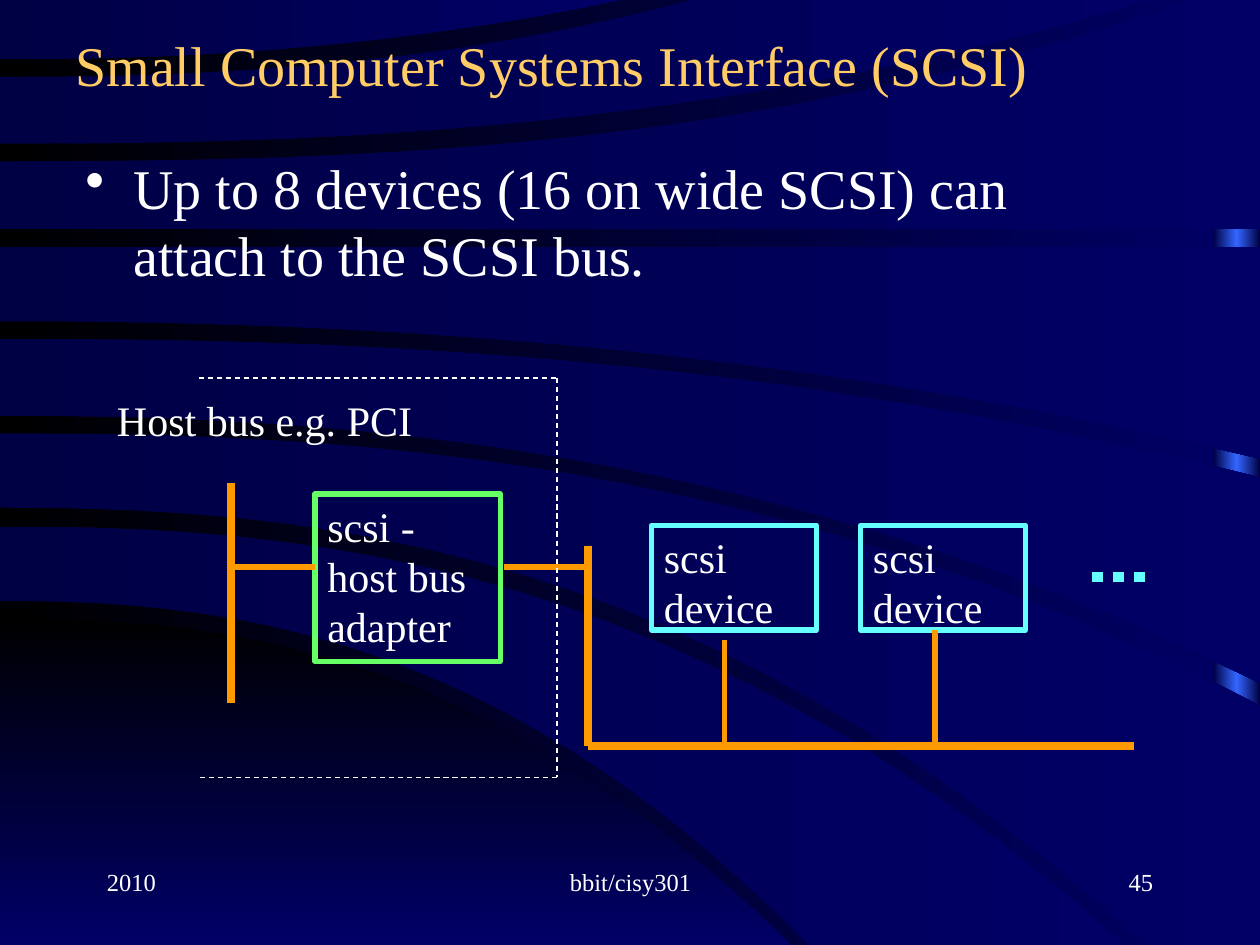
from copy import deepcopy

from lxml.etree import SubElement
from pptx import Presentation
from pptx.dml.color import RGBColor
from pptx.enum.dml import MSO_LINE
from pptx.enum.shapes import MSO_CONNECTOR, MSO_SHAPE
from pptx.enum.text import MSO_ANCHOR, PP_ALIGN
from pptx.oxml.ns import qn
from pptx.util import Inches, Pt

COLOURS = {
    "black": "000000", "navy": "000066", "dark": "000044", "glow": "3366FF",
    "gold": "FFCC66", "white": "FFFFFF", "bus": "FF9900",
    "adapter": "66FF66", "device": "66FFFF",
}
RGB = {name: RGBColor.from_string(value) for name, value in COLOURS.items()}
CURVE_STEPS = 24


def paint_gradient(fill, start, end, angle=0):
    fill.gradient()
    fill.gradient_angle = angle
    for stop, colour, position in zip(fill.gradient_stops, (start, end), (0, 1)):
        stop.color.rgb = RGB[colour]
        stop.position = position


def write(holder, text, size, colour="white", align=PP_ALIGN.LEFT, space_before=0):
    frame = holder.text_frame
    frame.word_wrap = True
    frame.text = text
    for paragraph in frame.paragraphs:
        paragraph.alignment = align
        paragraph.space_before = Pt(space_before)
        paragraph.font.name = "Times New Roman"
        paragraph.font.size = Pt(size)
        paragraph.font.color.rgb = RGB[colour]
    return frame


prs = Presentation()
prs.slide_width, prs.slide_height = Inches(10), Inches(7.5)
slide = prs.slides.add_slide(prs.slide_layouts[6])
shapes = slide.shapes

# Backdrop: glowing right edge, partly covered by curved bands
paint_gradient(slide.background.fill, "black", "navy")

glow_strip = shapes.add_shape(MSO_SHAPE.RECTANGLE, Inches(9.63), 0, Inches(0.37), Inches(7.5))
glow_strip.shadow.inherit = False
glow_strip.line.fill.background()
paint_gradient(glow_strip.fill, "dark", "dark")
stop_list = glow_strip._element.spPr.find(".//" + qn("a:gsLst"))
stop_list.insert(1, deepcopy(stop_list[0]))
middle_stop = glow_strip.fill.gradient_stops[1]
middle_stop.color.rgb = RGB["glow"]
middle_stop.position = 0.5

# Each edge starts at x = 0 and bends as a power of x: (start y, end x, end y)
for upper, lower, power, start, angle in [
    ((4.91, 6.28, 7.5), (7.5, 6.28, 7.5), 2.4, "black", 270),
    ((4.18, 8.93, 7.5), (4.77, 6.42, 7.5), 2.4, "dark", 0),
    ((3.44, 10, 5.6), (4.03, 9.09, 7.5), 2.4, "dark", 0),
    ((2.69, 10, 3.79), (3.3, 10, 5.42), 2.3, "dark", 0),
    ((1.96, 10, 1.96), (2.55, 10, 3.64), 2.2, "dark", 0),
    ((1.28, 9.43, 0), (1.82, 10, 1.82), 2.6, "dark", 0),
    ((0.61, 5.5, 0), (1.14, 9.13, 0), 2.4, "dark", 0),
    ((0, 4.92, 0), (0.47, 4.92, 0), 2.2, "dark", 0),
]:
    upper_points, lower_points = [
        [(end_x * step / CURVE_STEPS,
          start_y + (end_y - start_y) * (step / CURVE_STEPS) ** power)
         for step in range(CURVE_STEPS + 1)]
        for start_y, end_x, end_y in (upper, lower)
    ]
    shorter_end, longer_end = sorted([upper_points[-1], lower_points[-1]])
    corner = (longer_end[0], shorter_end[1])
    outline = [(Inches(x), Inches(y))
               for x, y in upper_points + [corner] + lower_points[::-1]]
    builder = shapes.build_freeform(*outline[0])
    builder.add_line_segments(outline[1:], close=True)
    band = builder.convert_to_shape()
    band.shadow.inherit = False
    band.line.fill.background()
    paint_gradient(band.fill, start, "navy", angle)

# Footer
for left, width, text, align in [
    (0.75, 2.08, "2010", PP_ALIGN.LEFT),
    (3.42, 3.17, "bbit/cisy301", PP_ALIGN.CENTER),
    (7.17, 2.08, "45", PP_ALIGN.RIGHT),
]:
    footer = shapes.add_textbox(Inches(left), Inches(6.83), Inches(width), Inches(0.5))
    write(footer, text, 14, align=align)

# Title and bullet
title = shapes.add_textbox(Inches(0.5), Inches(0.17), Inches(8.92), Inches(0.67))
title_frame = write(title, "Small Computer Systems Interface (SCSI)", 32, "gold")
title_frame.vertical_anchor = MSO_ANCHOR.MIDDLE

body = shapes.add_textbox(Inches(0.58), Inches(1.17), Inches(8.5), Inches(1.33))
body_frame = write(body, "Up to 8 devices (16 on wide SCSI) can attach to the SCSI bus.",
                   32, space_before=8)
bullet = body_frame.paragraphs[0]._p.get_or_add_pPr()
bullet.set("marL", str(Inches(0.38)))
bullet.set("indent", str(Inches(-0.38)))
SubElement(bullet, qn("a:buChar"), char="•")

# Diagram
host_label = shapes.add_textbox(Inches(0.83), Inches(3.08), Inches(2.75), Inches(0.5))
write(host_label, "Host bus e.g. PCI", 24, space_before=15)

for left, top, width, height, text, colour in [
    (2.5, 3.92, 1.47, 1.33, "scsi - host bus adapter", "adapter"),
    (5.17, 4.17, 1.31, 0.83, "scsi\ndevice", "device"),
    (6.83, 4.17, 1.31, 0.83, "scsi\ndevice", "device"),
]:
    unit = shapes.add_shape(MSO_SHAPE.RECTANGLE, Inches(left), Inches(top),
                            Inches(width), Inches(height))
    unit.shadow.inherit = False
    unit.fill.background()
    unit.line.color.rgb = RGB[colour]
    unit.line.width = Pt(3)
    write(unit, text, 24).vertical_anchor = MSO_ANCHOR.TOP

host_x, scsi_x, scsi_y, link_y = 1.83, 4.67, 5.92, 4.5
frame_left, frame_right, frame_top, frame_bottom = 1.58, 4.42, 3, 6.17
for colour, weight, dash, wires in [
    ("bus", 4.5, None, [
        (9, scsi_y, scsi_x, scsi_y),
        (scsi_x, 4.33, scsi_x, scsi_y),
        (host_x, 3.83, host_x, 5.58),
    ]),
    ("bus", 3, None, [
        (5.75, 5.08, 5.75, scsi_y),
        (7.42, 5, 7.42, scsi_y),
        (host_x, link_y, 2.5, link_y),
        (4, link_y, scsi_x, link_y),
    ]),
    ("device", 6, MSO_LINE.ROUND_DOT, [(8.67, 4.58, 9.17, 4.58)]),
    ("white", 0.75, MSO_LINE.DASH, [
        (frame_left, frame_top, frame_right, frame_top),
        (frame_right, frame_top, frame_right, frame_bottom),
        (frame_right, frame_bottom, frame_left, frame_bottom),
    ]),
]:
    for ends in wires:
        wire = shapes.add_connector(MSO_CONNECTOR.STRAIGHT, *map(Inches, ends))
        wire.line.color.rgb = RGB[colour]
        wire.line.width = Pt(weight)
        if dash:
            wire.line.dash_style = dash
        SubElement(wire._element.spPr, qn("a:effectLst"))

prs.save("out.pptx")
